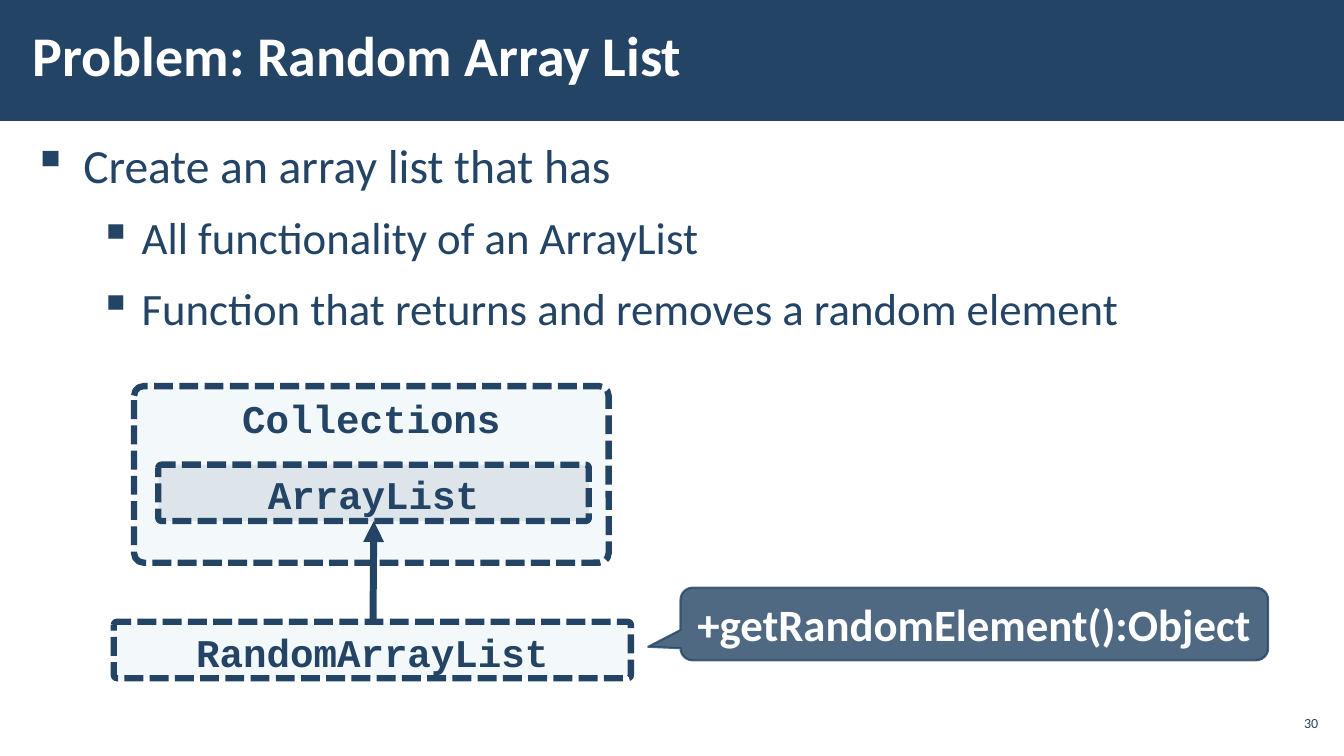
from dataclasses import dataclass
from lxml.etree import SubElement
from pptx import Presentation
from pptx.dml.color import RGBColor
from pptx.enum.dml import MSO_LINE
from pptx.enum.shapes import MSO_CONNECTOR, MSO_SHAPE
from pptx.enum.text import MSO_ANCHOR, PP_ALIGN
from pptx.oxml.ns import qn
from pptx.util import Cm, Pt


@dataclass(frozen=True)
class Theme:
    navy: str = "234465"
    white: str = "FFFFFF"
    pale: str = "B5DBE5"
    slate: str = "67748E"
    sans: str = "Calibri"
    mono: str = "Courier New"
    title: int = 40
    main: int = 34
    sub: int = 32
    code: int = 28
    page: int = 10


LOOK = Theme()


def apply(target, values):
    for name, value in values.items():
        setattr(target, name, value)


def tint(paint, color, alpha=100):
    """Give a fill a solid colour, with an opacity in percent."""
    paint.solid()
    paint.fore_color.rgb = RGBColor.from_string(color)
    if alpha < 100:
        node = next(paint._xPr.iter(qn("a:srgbClr")))
        SubElement(node, qn("a:alpha"), val=str(alpha * 1000))


def write(para, text, size, color=LOOK.navy, face=LOOK.sans, bold=False, **form):
    run = para.add_run()
    run.text = text
    apply(run.font, {"size": Pt(size), "name": face, "bold": bold})
    run.font.color.rgb = RGBColor.from_string(color)
    apply(para, form)


def set_frame(frame, anchor, side, edge):
    apply(frame, {
        "word_wrap": True, "vertical_anchor": anchor,
        "margin_left": Cm(side), "margin_right": Cm(side),
        "margin_top": Cm(edge), "margin_bottom": Cm(edge),
    })


def add_text(slide, box, anchor, side=0.3):
    frame = slide.shapes.add_textbox(*map(Cm, box)).text_frame
    set_frame(frame, anchor, side, 0.1)
    return frame


def add_form(slide, kind, box, fill, alpha=100, adjust=()):
    shape = slide.shapes.add_shape(kind, *map(Cm, box))
    shape.shadow.inherit = False
    for index, value in enumerate(adjust):
        shape.adjustments[index] = value
    tint(shape.fill, fill, alpha)
    shape.line.fill.background()
    return shape


def add_class(slide, box, name, fill):
    shape = add_form(slide, MSO_SHAPE.ROUNDED_RECTANGLE, box, fill, 15, [0.054])
    tint(shape.line.fill, LOOK.navy)
    apply(shape.line, {"width": Pt(4.5), "dash_style": MSO_LINE.SQUARE_DOT})
    set_frame(shape.text_frame, MSO_ANCHOR.TOP, 0.25, 0.13)
    write(shape.text_frame.paragraphs[0], name, LOOK.code, face=LOOK.mono,
          bold=True, alignment=PP_ALIGN.CENTER)


def add_callout(slide, box, text):
    shape = add_form(slide, MSO_SHAPE.ROUNDED_RECTANGULAR_CALLOUT, box,
                     LOOK.navy, 80, [-0.555, 0.314, 0.167])
    tint(shape.line.fill, LOOK.navy, 80)
    shape.line.width = Pt(1.5)
    set_frame(shape.text_frame, MSO_ANCHOR.MIDDLE, 0.2, 0.13)
    write(shape.text_frame.paragraphs[0], text, LOOK.sub, LOOK.white,
          bold=True, alignment=PP_ALIGN.CENTER)


def add_arrow(slide, start, end):
    arrow = slide.shapes.add_connector(
        MSO_CONNECTOR.STRAIGHT, *map(Cm, start + end))
    tint(arrow.line.fill, LOOK.navy)
    arrow.line.width = Pt(5)
    SubElement(arrow.line._get_or_add_ln(), qn("a:tailEnd"), type="triangle")
    SubElement(arrow._element.spPr, qn("a:effectLst"))


def add_list(slide, box, items):
    frame = add_text(slide, box, MSO_ANCHOR.TOP)
    forms = [(LOOK.main, 1.27, 1.27), (LOOK.sub, 2.74, 1.07)]
    for index, (level, text) in enumerate(items):
        para = frame.add_paragraph() if index else frame.paragraphs[0]
        size, left, hang = forms[level]
        write(para, text, size, level=level,
              space_before=Pt(6), space_after=Pt(6))
        props = para._p.get_or_add_pPr()
        props.set("marL", str(Cm(left)))
        props.set("indent", str(-Cm(hang)))
        SubElement(props, qn("a:buChar"), char="▪")


def main():
    deck = Presentation()
    apply(deck, {"slide_width": Cm(33.87), "slide_height": Cm(19.05)})
    slide = deck.slides.add_slide(deck.slide_layouts[6])

    # Header band and title
    add_form(slide, MSO_SHAPE.RECTANGLE, (0, 0, 33.87, 3.05), LOOK.navy)
    title = add_text(slide, (0.53, 0.28, 26.42, 2.46), MSO_ANCHOR.MIDDLE)
    write(title.paragraphs[0], "Problem: Random Array List", LOOK.title,
          LOOK.white, bold=True, line_spacing=Pt(40))

    # Task
    add_list(slide, (0.53, 3.33, 32.82, 14.22), [
        (0, "Create an array list that has"),
        (1, "All functionality of an ArrayList"),
        (1, "Function that returns and removes a random element"),
    ])

    # Class diagram
    add_class(slide, (3.38, 9.73, 11.96, 4.45), "Collections", LOOK.pale)
    add_class(slide, (3.99, 11.71, 10.85, 1.42), "ArrayList", LOOK.slate)
    add_class(slide, (2.87, 15.67, 13.03, 1.42), "RandomArrayList", LOOK.pale)
    add_arrow(slide, (9.4, 15.67), (9.42, 13.13))
    add_callout(slide, (17.15, 14.81, 14.81, 1.83), "+getRandomElement():Object")

    # Page number
    page = add_text(slide, (32.13, 17.78, 1.19, 0.86), MSO_ANCHOR.MIDDLE, 0.1)
    write(page.paragraphs[0], "30", LOOK.page, alignment=PP_ALIGN.RIGHT)

    deck.save("out.pptx")


if __name__ == "__main__":
    main()
